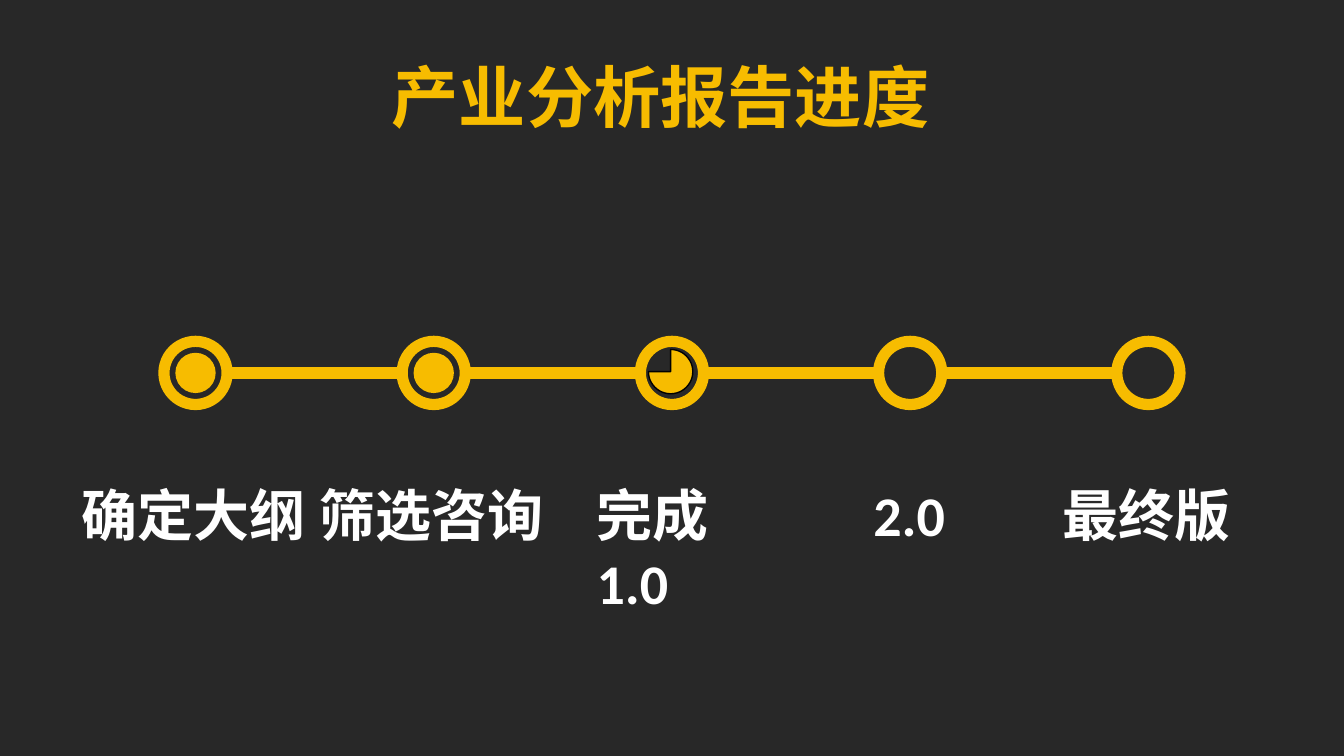
from pptx import Presentation
from pptx.dml.color import RGBColor as RGB
from pptx.enum.shapes import MSO_CONNECTOR as Conn, MSO_SHAPE as Shape
from pptx.enum.text import MSO_ANCHOR as Anchor, PP_ALIGN as Align
from pptx.oxml.ns import qn
from pptx.util import Inches, Pt

COLORS = {"back": "282828", "gold": "F7BC00", "white": "FFFFFF", "black": "000000"}

# Timeline grid, in inches
LEFT, LAST, TOP, RING, DOT = 1.22, 8.31, 2.54, 0.47, 0.3
MID = TOP + RING / 2

# Label: text, left, width
LABELS = [
    ("确定大纲", 0.51, 1.88),
    ("筛选咨询", 2.28, 1.88),
    ("完成 1.0", 4.34, 1.68),
    ("2.0", 6.4, 0.74),
    ("最终版", 7.81, 1.46),
]
STEP = (LAST - LEFT) / (len(LABELS) - 1)
DONE = 2  # steps that are finished; the next one is under way


def color(name):
    return RGB.from_string(COLORS[name])


def set_line(line, name, width):
    line.color.rgb = color(name)
    line.width = Pt(width)


def add_text(slide, text, box, size, name, frame_form, **form):
    frame = slide.shapes.add_textbox(*map(Inches, box)).text_frame
    for key, value in frame_form.items():
        setattr(frame, key, value)
    para = frame.paragraphs[0]
    para.text = text
    for key, value in form.items():
        setattr(para, key, value)
    style = {"name": "Calibri", "size": Pt(size), "bold": True}
    for run in para.runs:
        for key, value in style.items():
            setattr(run.font, key, value)
        run.font.color.rgb = color(name)


def add_mark(slide, kind, left, top, size, fill=None, line=None):
    mark = slide.shapes.add_shape(kind, *map(Inches, (left, top, size, size)))
    mark.shadow.inherit = False
    if fill:
        mark.fill.solid()
        mark.fill.fore_color.rgb = color(fill)
    else:
        mark.fill.background()
    if line:
        set_line(mark.line, *line)
    else:
        mark.line.fill.background()
    return mark


def add_link(slide, start, end):
    link = slide.shapes.add_connector(Conn.STRAIGHT, *map(Inches, (start, MID, end, MID)))
    set_line(link.line, "gold", 6)
    props = link._element.spPr
    props.append(props.makeelement(qn("a:effectLst"), {}))


def main():
    deck = Presentation()
    deck.slide_width, deck.slide_height = Inches(10), Inches(10 * 9 / 16)
    slide = deck.slides.add_slide(deck.slide_layouts[6])
    slide.background.fill.solid()
    slide.background.fill.fore_color.rgb = color("back")

    # Title
    add_text(slide, "产业分析报告进度", (2.8, 0.39, 4.23, 0.68), 36, "gold",
             {"word_wrap": True, "vertical_anchor": Anchor.BOTTOM},
             alignment=Align.CENTER, line_spacing=0.9)

    # Rings, links and labels
    for i, (text, left, width) in enumerate(LABELS):
        x = LEFT + i * STEP
        add_mark(slide, Shape.OVAL, x, TOP, RING, line=("gold", 6))
        if i < DONE:
            inset = (RING - DOT) / 2
            add_mark(slide, Shape.OVAL, x + inset, TOP + inset, DOT, fill="gold")
        if i < len(LABELS) - 1:
            add_link(slide, x + RING, x + STEP)
        # The wider right margin folds the label of the current step
        fold = {"word_wrap": True, "margin_right": Inches(0.3)}
        add_text(slide, text, (left, 3.53, width, 0.61), 30, "white",
                 fold if i == DONE else {"word_wrap": False})

    # Step under way: three quarters
    pie = add_mark(slide, Shape.PIE, LEFT + DONE * STEP + 0.06, TOP + 0.06, 0.33,
                   fill="gold", line=("black", 0.75))
    pie.rotation = 270

    deck.save("out.pptx")


if __name__ == "__main__":
    main()
